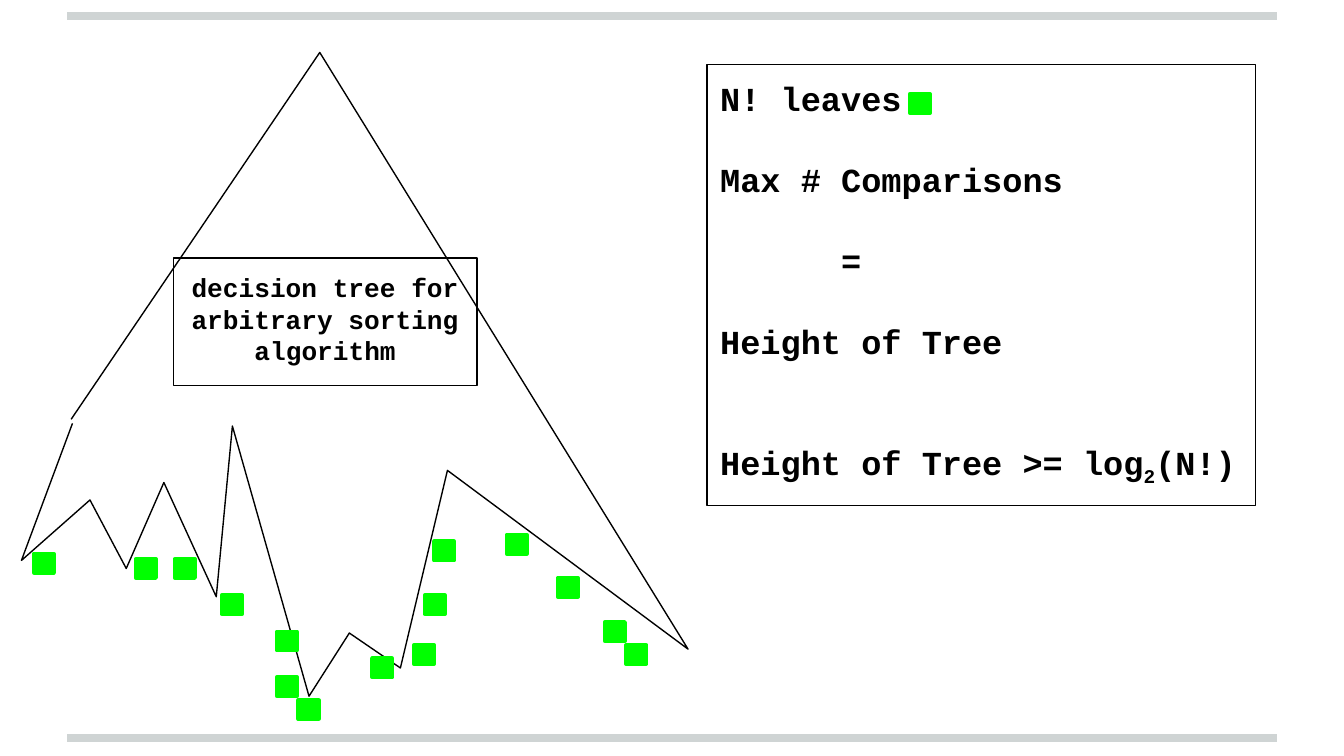
"""Build a slide on the decision-tree lower bound for comparison sorting."""
from lxml import etree
from pptx import Presentation, util as u
from pptx.dml.color import RGBColor
from pptx.enum import shapes, text
from pptx.oxml.ns import qn

COLORS = {"rule": "CFD4D4", "ink": "000000", "leaf": "00FF00"}
FONT = "Courier New"
LEAF_SIZE = (0.15, 0.14)
TREE_OUTLINE = [
    (0.53, 3.12), (2.38, 0.39), (5.12, 4.83), (3.33, 3.5), (2.98, 4.97),
    (2.6, 4.71), (2.3, 5.18), (1.73, 3.17), (1.61, 4.44), (1.22, 3.59),
    (0.94, 4.23), (0.67, 3.72), (0.16, 4.17), (0.54, 3.15),
]
LEAVES = [
    (0.25, 4.12), (2.06, 5.04), (2.06, 4.7), (1.65, 4.43), (1.3, 4.16),
    (1.01, 4.16), (3.16, 4.43), (2.22, 5.21), (2.77, 4.9), (3.77, 3.98),
    (4.15, 4.3), (4.5, 4.63), (4.66, 4.8), (3.08, 4.8), (3.23, 4.03),
]
BOUND_PITCH = 21.7
BOUND_LINES = [
    ([("N! leaves", 0)], 0, 0),
    ([("Max # Comparisons", 0)], 1, 0),
    ([("=", 0)], 1, 0.9),
    ([("Height of Tree", 0)], 1, 0),
    ([("Height of Tree >= log", 0), ("2", -25), ("(N!)", 0)], 2.1, 0),
]


def rgb(name):
    """Return the named palette colour."""
    return RGBColor.from_string(COLORS[name])


def set_all(target, values):
    """Set each named attribute on the target."""
    for name, value in values.items():
        setattr(target, name, value)


def set_line(line, color, width):
    """Give a line its colour and its width in points."""
    line.color.rgb = rgb(color)
    line.width = u.Pt(width)


def add_rule(slide, y):
    """Draw a horizontal rule across the slide."""
    ends = [u.Inches(v) for v in (0.5, y, 9.5, y)]
    rule = slide.shapes.add_connector(shapes.MSO_CONNECTOR.STRAIGHT, *ends)
    set_line(rule.line, "rule", 4)
    etree.SubElement(rule._element.spPr, qn("a:effectLst"))


def add_tree(slide):
    """Draw the jagged outline of the decision tree."""
    points = [(u.Inches(x), u.Inches(y)) for x, y in TREE_OUTLINE]
    builder = slide.shapes.build_freeform(*points[0], scale=1.0)
    builder.add_line_segments(points[1:], close=False)
    tree = builder.convert_to_shape()
    tree.shadow.inherit = False
    tree.fill.background()
    set_line(tree.line, "ink", 0.75)


def add_box(slide, *bounds):
    """Add a plain rectangle without shadow."""
    box = slide.shapes.add_shape(
        shapes.MSO_SHAPE.RECTANGLE, *[u.Inches(v) for v in bounds])
    box.shadow.inherit = False
    return box


def add_leaf(slide, position):
    """Add one green leaf marker."""
    leaf = add_box(slide, *position, *LEAF_SIZE)
    leaf.fill.solid()
    leaf.fill.fore_color.rgb = rgb("leaf")
    set_line(leaf.line, "leaf", 2.25)


def add_framed_text(slide, bounds, lines, size, pitch, align):
    """Add an outlined box of lines given as runs, blank rows and indent."""
    box = add_box(slide, *bounds)
    box.fill.background()
    set_line(box.line, "ink", 0.75)
    frame = box.text_frame
    margins = ("left", "top", "right", "bottom")
    set_all(frame, {f"margin_{side}": u.Inches(0.1) for side in margins})
    set_all(frame, {"word_wrap": True,
                    "vertical_anchor": text.MSO_ANCHOR.TOP})
    for number, (runs, gap_rows, indent) in enumerate(lines):
        line = frame.add_paragraph() if number else frame.paragraphs[0]
        set_all(line, {"alignment": align, "line_spacing": u.Pt(pitch),
                       "space_before": u.Pt(gap_rows * pitch)})
        if indent:
            line._p.get_or_add_pPr().set("marL", str(u.Inches(indent)))
        for words, baseline in runs:
            run = line.add_run()
            run.text = words
            set_all(run.font, {"name": FONT, "size": u.Pt(size), "bold": True})
            run.font.color.rgb = rgb("ink")
            if baseline:
                run._r.get_or_add_rPr().set("baseline", str(baseline * 1000))


def main():
    """Assemble and save the slide."""
    deck = Presentation()
    set_all(deck, {"slide_width": u.Inches(10),
                   "slide_height": u.Inches(10 * 9 / 16)})
    slide = deck.slides.add_slide(deck.slide_layouts[6])
    for y in (5.49, 0.12):
        add_rule(slide, y)
    add_tree(slide)
    for position in LEAVES:
        add_leaf(slide, position)
    add_framed_text(slide, (5.26, 0.48, 4.08, 3.28), BOUND_LINES,
                    18, BOUND_PITCH, text.PP_ALIGN.LEFT)
    add_leaf(slide, (6.77, 0.7))
    caption = [([("decision tree for arbitrary sorting algorithm", 0)], 0, 0)]
    add_framed_text(slide, (1.29, 1.92, 2.26, 0.95), caption,
                    14, 16.9, text.PP_ALIGN.CENTER)
    deck.save("out.pptx")


if __name__ == "__main__":
    main()
